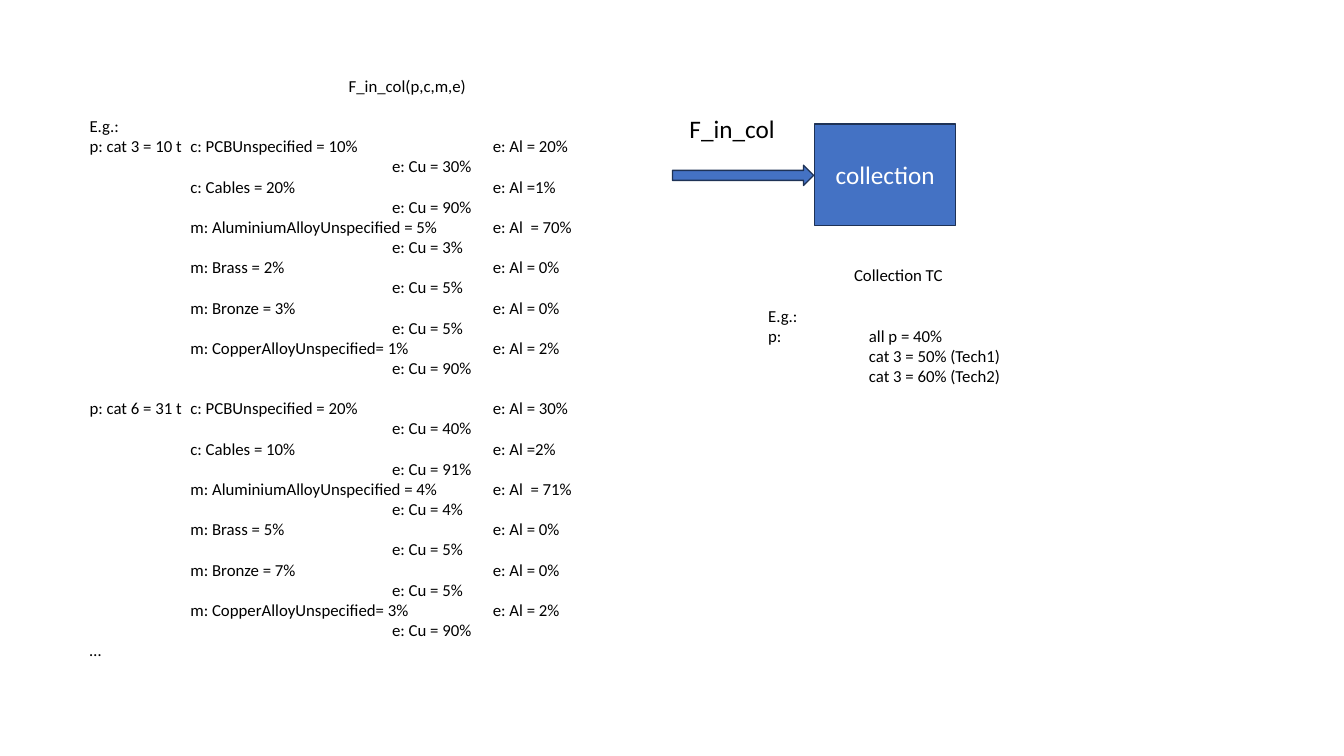
"""Build the slide on collection inflow by product, component, material and element."""
from dataclasses import dataclass

from lxml.etree import SubElement
from pptx import Presentation
from pptx.dml.color import RGBColor
from pptx.enum.shapes import MSO_SHAPE
from pptx.enum.text import MSO_ANCHOR, PP_ALIGN
from pptx.oxml.ns import qn
from pptx.slide import Slide
from pptx.util import Inches, Pt

COLORS = {"text": "000000", "fill": "4472C4", "outline": "1E3256", "label": "FFFFFF"}
FONT = "Calibri"
BLANK_LINE = 14.4


@dataclass(frozen=True)
class Area:
    left: float
    top: float
    width: float
    height: float


@dataclass(frozen=True)
class Line:
    text: str
    stops: tuple[float, ...] = ()
    before: float = 0
    centered: bool = False
    size: float = 12
    color: str = "text"


@dataclass(frozen=True)
class Content:
    name: str
    aluminium: str
    copper: str


@dataclass(frozen=True)
class Product:
    name: str
    contents: tuple[Content, ...]


@dataclass(frozen=True)
class Block:
    area: Area
    preset: MSO_SHAPE
    label: str = ""


PRODUCTS = (
    Product("p: cat 3 = 10 t", (
        Content("c: PCBUnspecified = 10%", "e: Al = 20%", "30%"),
        Content("c: Cables = 20%", "e: Al =1%", "90%"),
        Content("m: AluminiumAlloyUnspecified = 5%", "e: Al  = 70%", "3%"),
        Content("m: Brass = 2%", "e: Al = 0%", "5%"),
        Content("m: Bronze = 3%", "e: Al = 0%", "5%"),
        Content("m: CopperAlloyUnspecified= 1%", "e: Al = 2%", "90%"),
    )),
    Product("p: cat 6 = 31 t", (
        Content("c: PCBUnspecified = 20%", "e: Al = 30%", "40%"),
        Content("c: Cables = 10%", "e: Al =2%", "91%"),
        Content("m: AluminiumAlloyUnspecified = 4%", "e: Al  = 71%", "4%"),
        Content("m: Brass = 5%", "e: Al = 0%", "5%"),
        Content("m: Bronze = 7%", "e: Al = 0%", "5%"),
        Content("m: CopperAlloyUnspecified= 3%", "e: Al = 2%", "90%"),
    )),
)
BLOCKS = (
    Block(Area(8.08, 1.23, 1.4, 1.01), MSO_SHAPE.RECTANGLE, "collection"),
    Block(Area(6.67, 1.64, 1.4, 0.2), MSO_SHAPE.RIGHT_ARROW),
)
COLLECTION_LINES = [
    Line("Collection TC", centered=True),
    Line("E.g.:", before=BLANK_LINE),
    Line("p:\tall p = 40%", (1,)),
    Line("\tcat 3 = 50% (Tech1)", (1,)),
    Line("\tcat 3 = 60% (Tech2)", (1,)),
]


def color(name: str) -> RGBColor:
    return RGBColor.from_string(COLORS[name])


def place(area: Area) -> tuple[Inches, ...]:
    return tuple(Inches(n) for n in (area.left, area.top, area.width, area.height))


def write_line(paragraph, line: Line) -> None:
    paragraph.text = line.text
    paragraph.alignment = PP_ALIGN.CENTER if line.centered else PP_ALIGN.LEFT
    if line.stops:
        tabs = SubElement(paragraph._p.get_or_add_pPr(), qn("a:tabLst"))
        for stop in line.stops:
            SubElement(tabs, qn("a:tab"), pos=str(Inches(stop)), algn="l")
    if line.before:
        paragraph.space_before = Pt(line.before)
    paragraph.font.name = FONT
    paragraph.font.size = Pt(line.size)
    paragraph.font.color.rgb = color(line.color)


def add_text(page: Slide, area: Area, lines: list[Line]) -> None:
    frame = page.shapes.add_textbox(*place(area)).text_frame
    frame.word_wrap = True
    for index, line in enumerate(lines):
        write_line(frame.add_paragraph() if index else frame.paragraphs[0], line)


def add_block(page: Slide, block: Block) -> None:
    shape = page.shapes.add_shape(block.preset, *place(block.area))
    shape.shadow.inherit = False
    shape.fill.solid()
    shape.fill.fore_color.rgb = color("fill")
    shape.line.color.rgb = color("outline")
    shape.line.width = Pt(1)
    if block.label:
        shape.text_frame.vertical_anchor = MSO_ANCHOR.MIDDLE
        label = Line(block.label, centered=True, size=18, color="label")
        write_line(shape.text_frame.paragraphs[0], label)


def inflow_lines() -> list[Line]:
    lines = [Line("F_in_col(p,c,m,e)", centered=True), Line("E.g.:", before=BLANK_LINE)]
    for number, product in enumerate(PRODUCTS):
        for row, content in enumerate(product.contents):
            start = "" if row else product.name
            gap = BLANK_LINE if number and not row else 0
            lines.append(Line(f"{start}\t{content.name}\t{content.aluminium}", (1, 4), gap))
            lines.append(Line(f"\te: Cu = {content.copper}", (3,)))
    return lines + [Line("…")]


def main() -> None:
    deck = Presentation()
    deck.slide_width, deck.slide_height = Inches(13.33), Inches(7.5)
    page = deck.slides.add_slide(deck.slide_layouts[6])
    for block in BLOCKS:
        add_block(page, block)
    add_text(page, Area(6.74, 1.08, 1.26, 0.4), [Line("F_in_col", size=18)])
    add_text(page, Area(0.79, 0.7, 6.5, 6.36), inflow_lines())
    add_text(page, Area(7.52, 2.58, 2.78, 1.51), COLLECTION_LINES)
    deck.save("out.pptx")


if __name__ == "__main__":
    main()
